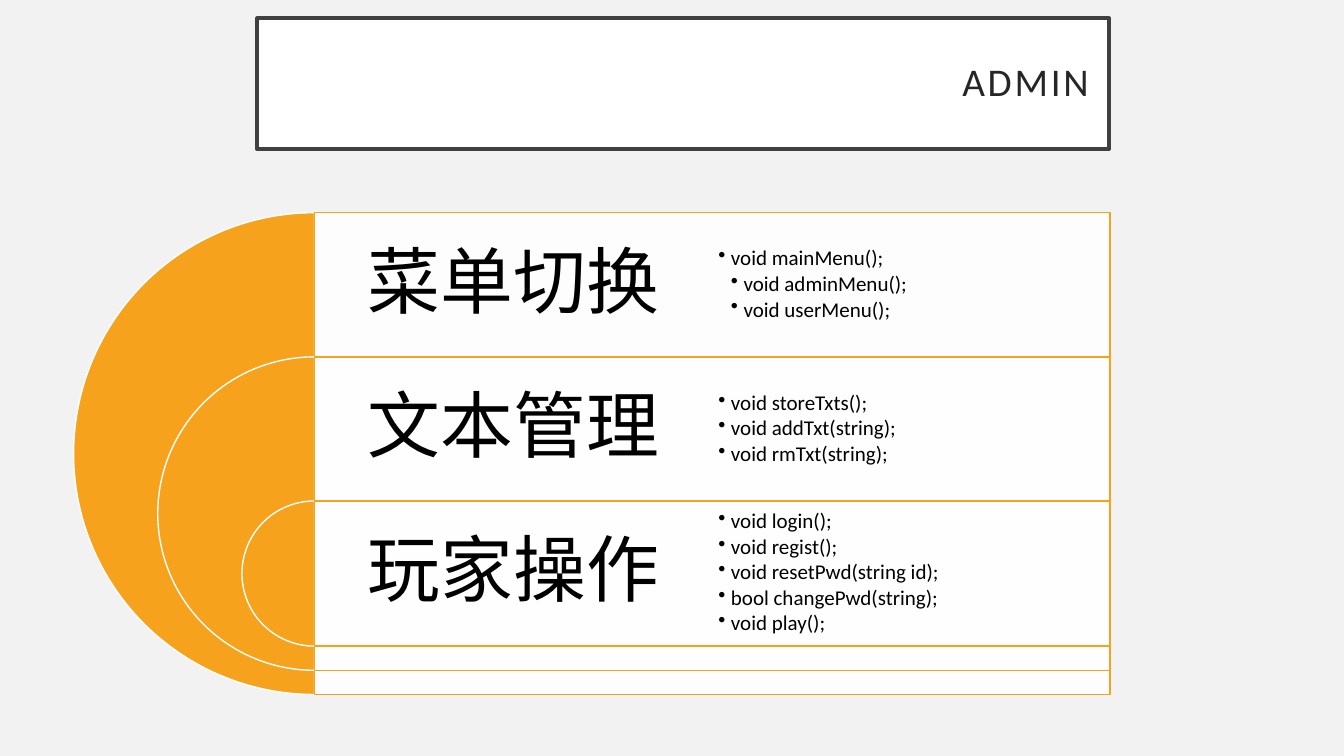
from lxml import etree
from pptx import Presentation
from pptx import util as u
from pptx.dml import color
from pptx.enum import shapes, text
from pptx.oxml import ns

ORANGE, WHITE, BLACK = "F6A21D", "FFFFFF", "000000"
EDGE, TOP, WIDE = 3.12, 2.11, 7.89    # panel left, first top, panel width
FULL, STEP, SHRINK = 4.78, 1.43, 1.67    # outer size, row pitch, size loss
HALF = WIDE / 2
ROWS = [
    ("菜单切换", [(1, "void mainMenu();"), (2, "void adminMenu();"),
              (2, "void userMenu();")]),
    ("文本管理", [(1, "void storeTxts();"), (1, "void addTxt(string);"),
              (1, "void rmTxt(string);")]),
    ("玩家操作", [(1, "void login();"), (1, "void regist();"),
              (1, "void resetPwd(string id);"),
              (1, "bool changePwd(string);"), (1, "void play();")]),
]


def rgb(code):
    """Turn a hex string into a colour."""
    return color.RGBColor.from_string(code)


def place(*nums):
    """Turn numbers of inches into lengths."""
    return [u.Inches(n) for n in nums]


def assign(item, form):
    """Set each attribute of the item from a dict."""
    for name, value in form.items():
        setattr(item, name, value)


def paint(shape, fill, line, width):
    """Give a shape its solid fill and its outline."""
    shape.fill.solid()
    shape.fill.fore_color.rgb = rgb(fill)
    shape.line.color.rgb = rgb(line)
    shape.line.width = u.Pt(width)


def fade(shape, percent):
    """Set the opacity of a solid fill."""
    tint = shape.fill._xPr.find(".//" + ns.qn("a:srgbClr"))
    etree.SubElement(tint, ns.qn("a:alpha"), val=str(percent * 1000))


def frame(shape, inset):
    """Prepare the text frame of a shape and return it."""
    body = shape.text_frame
    sides = ("left", "top", "right", "bottom")
    form = {f"margin_{side}": u.Inches(inset) for side in sides}
    assign(body, form | {"word_wrap": True,
                         "auto_size": text.MSO_AUTO_SIZE.NONE,
                         "vertical_anchor": text.MSO_ANCHOR.MIDDLE})
    return body


def write(para, words, size, shade, **form):
    """Write one formatted run and return it."""
    assign(para, {"line_spacing": 0.9} | form)
    run = para.add_run()
    run.text = words
    assign(run.font, {"name": "Calibri", "size": u.Pt(size)})
    run.font.color.rgb = rgb(shade)
    return run


def bullet(para, depth):
    """Hang a round bullet at the given depth."""
    props = para._p.get_or_add_pPr()
    props.set("marL", str(u.Inches(0.125 * depth)))
    props.set("indent", str(u.Inches(-0.125)))
    etree.SubElement(props, ns.qn("a:buChar"), char="•")


def title(slide):
    """Fill the framed title."""
    head = slide.shapes.title
    spots = place(2.55, 0.18, 8.45, 1.3)
    assign(head, dict(zip(("left", "top", "width", "height"), spots)))
    paint(head, WHITE, "404040", 2.5)
    para = frame(head, 0.2).paragraphs[0]
    run = write(para, "ADMIN", 28, "262626", alignment=text.PP_ALIGN.RIGHT)
    run.font._element.set("spc", "200")


def layer(group, top, size):
    """Add a half disc and the panel to its right."""
    kinds = shapes.MSO_SHAPE
    disc = group.add_shape(
        kinds.PIE, *place(EDGE - size / 2, top, size, size))
    disc.adjustments[0], disc.adjustments[1] = 54, 162
    paint(disc, ORANGE, WHITE, 1)
    panel = group.add_shape(kinds.RECTANGLE, *place(EDGE, top, WIDE, size))
    paint(panel, WHITE, ORANGE, 1)
    fade(panel, 90)
    for shape in (disc, panel):
        shape.shadow.inherit = False


def label(group, top, words):
    """Add the large heading of a row."""
    box = group.add_textbox(*place(EDGE, top, HALF, STEP))
    write(frame(box, 0.22).paragraphs[0], words, 52, BLACK,
          alignment=text.PP_ALIGN.CENTER)


def calls(group, top, items):
    """Add the bulleted functions of a row."""
    box = group.add_textbox(*place(EDGE + HALF, top, HALF, STEP))
    body = frame(box, 0.06)
    for i, (depth, words) in enumerate(items):
        para = body.add_paragraph() if i else body.paragraphs[0]
        write(para, words, 15, BLACK, level=depth, space_after=u.Pt(2))
        bullet(para, depth)


def main():
    """Build the slide and save it."""
    deck = Presentation()
    assign(deck, {"slide_width": u.Inches(13.33),
                  "slide_height": u.Inches(7.5)})
    slide = deck.slides.add_slide(deck.slide_layouts[5])
    slide.background.fill.solid()
    slide.background.fill.fore_color.rgb = rgb("F2F2F2")
    title(slide)
    group = slide.shapes.add_group_shape().shapes
    for i, (words, _) in enumerate(ROWS):
        top = TOP + i * STEP
        layer(group, top, FULL - i * SHRINK)
        label(group, top, words)
    for i, (_, items) in enumerate(ROWS):
        calls(group, TOP + i * STEP, items)
    deck.save("out.pptx")


main()
